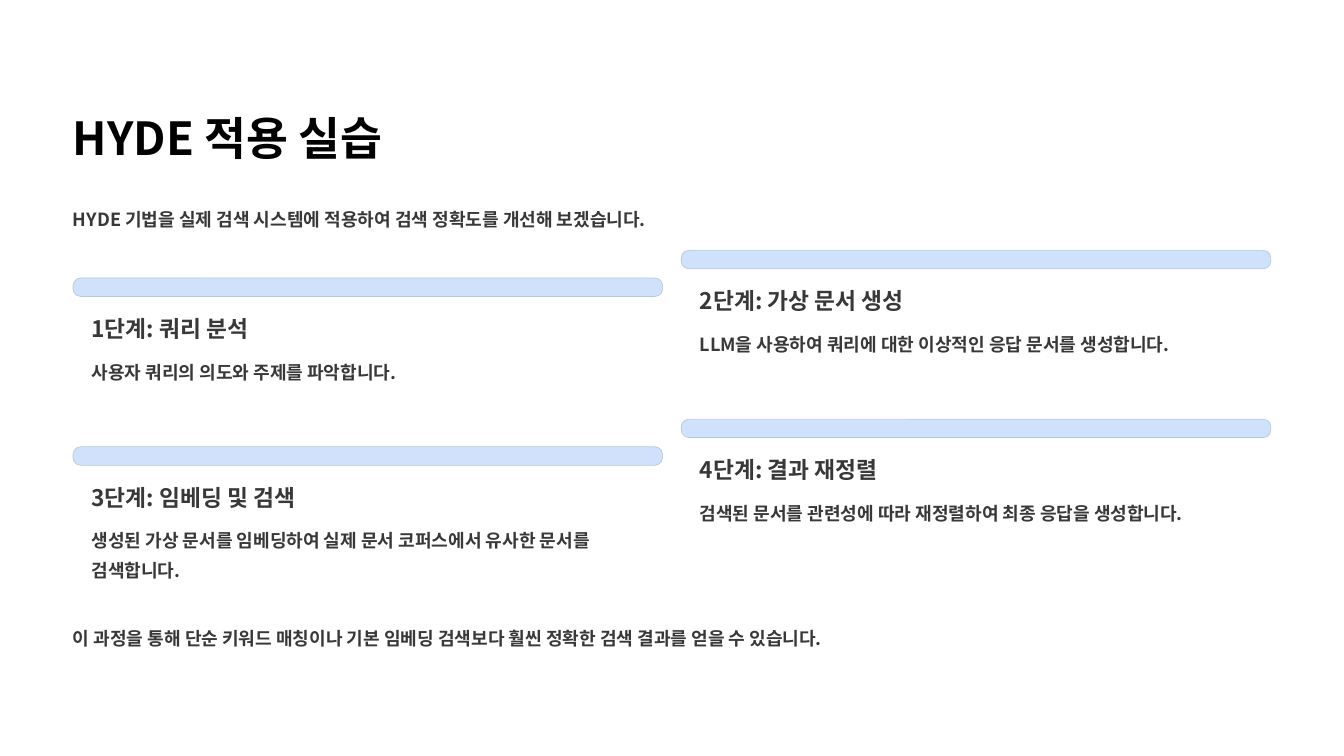
from pptx import Presentation
from pptx.dml.color import RGBColor
from pptx.enum.shapes import MSO_SHAPE
from pptx.oxml.ns import qn
from pptx.util import Pt
from lxml.etree import SubElement

FONT = "Noto Sans CJK KR"
COLORS = {"title": "000000", "text": "383838", "bar": "D0E2FB", "edge": "B6C8E1"}


class Deck:
    def __init__(self, wide, high):
        self.prs = Presentation()
        self.prs.slide_width, self.prs.slide_height = Pt(wide), Pt(high)
        self.slide = self.prs.slides.add_slide(self.prs.slide_layouts[6])

    def text(self, words, left, top, width, height, size=15.5, line=25,
             color="text", wrap=False):
        box = self.slide.shapes.add_textbox(Pt(left), Pt(top), Pt(width), Pt(height))
        frame = box.text_frame
        frame.word_wrap = wrap
        frame.margin_left = frame.margin_right = 0
        frame.margin_top = frame.margin_bottom = 0
        para = frame.paragraphs[0]
        para.text = words
        para.line_spacing = Pt(line)
        font = para.font
        font.name, font.size, font.bold = FONT, Pt(size), True
        font.color.rgb = RGBColor.from_string(COLORS[color])
        # Korean glyphs use the East Asian font slot
        props = para._p.pPr.find(qn("a:defRPr"))
        SubElement(props, qn("a:ea")).set("typeface", FONT)

    def bar(self, left, top, width, height):
        bar = self.slide.shapes.add_shape(
            MSO_SHAPE.ROUNDED_RECTANGLE, Pt(left), Pt(top), Pt(width), Pt(height))
        bar.shadow.inherit = False
        bar.adjustments[0] = 0.42
        bar.fill.solid()
        bar.fill.fore_color.rgb = RGBColor.from_string(COLORS["bar"])
        bar.line.color.rgb = RGBColor.from_string(COLORS["edge"])
        bar.line.width = Pt(0.6)

    def step(self, head, body, left, top):
        self.bar(left, top, 505.4, 15.8)
        self.text(head, left + 15.8, top + 31, 195, 24.5, size=19.5, line=24)
        self.text(body, left + 15.8, top + 64.8, 474.5, 25, wrap=True)


STEPS = [
    ("1단계: 쿼리 분석", "사용자 쿼리의 의도와 주제를 파악합니다."),
    ("2단계: 가상 문서 생성",
     "LLM을 사용하여 쿼리에 대한 이상적인 응답 문서를 생성합니다."),
    ("3단계: 임베딩 및 검색",
     "생성된 가상 문서를 임베딩하여 실제 문서 코퍼스에서 유사한 문서를 검색합니다."),
    ("4단계: 결과 재정렬",
     "검색된 문서를 관련성에 따라 재정렬하여 최종 응답을 생성합니다."),
]


def main():
    deck = Deck(1152, 648)
    left, width = 62.6, 1026.7

    # Title and intro
    deck.text("HYDE 적용 실습", left, 92.2, 391, 49, size=39, line=48.5, color="title")
    deck.text("HYDE 기법을 실제 검색 시스템에 적용하여 검색 정확도를 개선해 보겠습니다.",
              left, 172.1, width, 25)

    # Steps in two columns, the right one set higher
    for num, (head, body) in enumerate(STEPS):
        row, col = divmod(num, 2)
        deck.step(head, body, left + 521.3 * col, 238.3 + 144.7 * row - 23.7 * col)

    # Closing line
    deck.text("이 과정을 통해 단순 키워드 매칭이나 기본 임베딩 검색보다 "
              "훨씬 정확한 검색 결과를 얻을 수 있습니다.", left, 531.4, width, 25)

    deck.prs.save("out.pptx")


if __name__ == "__main__":
    main()
